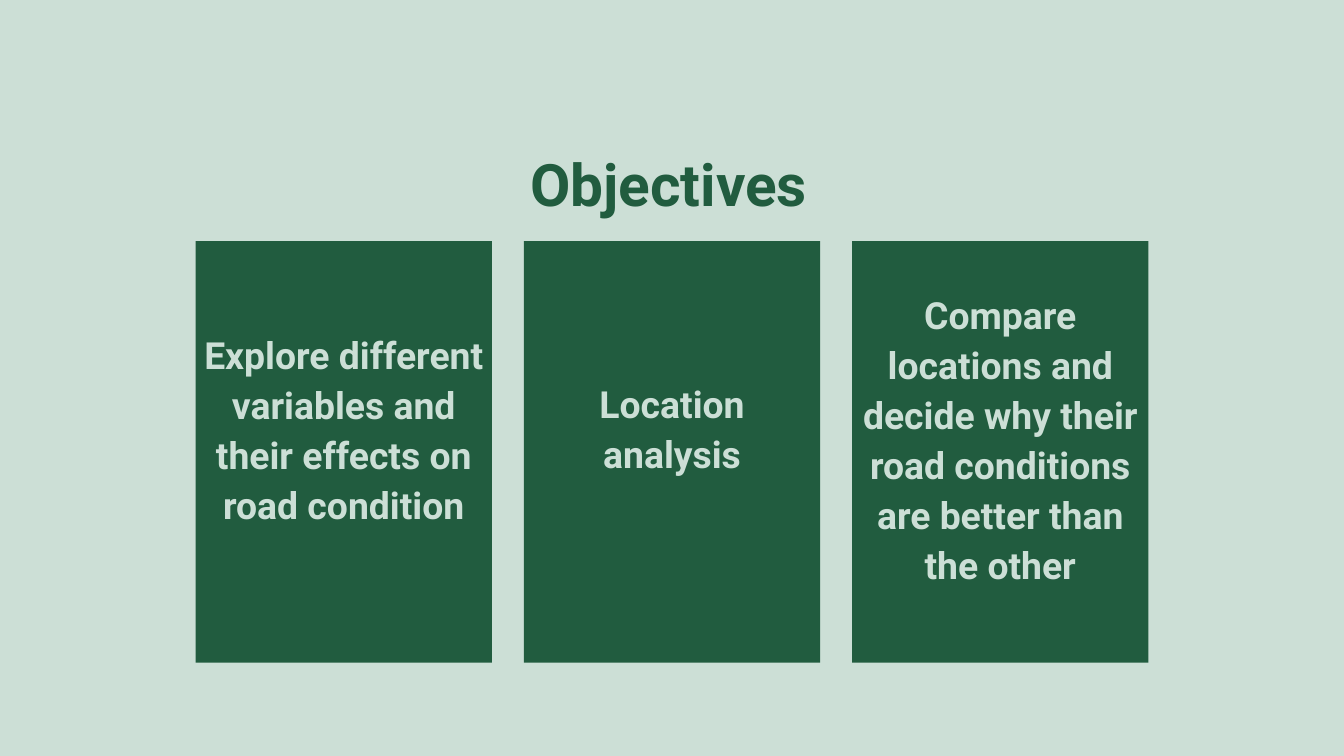
import pptx
import pptx.util
import pptx.dml.color
import pptx.enum.shapes
import pptx.enum.text

Inches, Pt = pptx.util.Inches, pptx.util.Pt
RGB = pptx.dml.color.RGBColor
ALIGN = pptx.enum.text.PP_ALIGN
COLORS = {"mint": "CCDFD6", "green": "215C3F"}
FRAME = {"margin_left": 0, "margin_top": 0, "margin_right": 0,
         "margin_bottom": 0, "word_wrap": True,
         "auto_size": pptx.enum.text.MSO_AUTO_SIZE.NONE,
         "vertical_anchor": pptx.enum.text.MSO_ANCHOR.TOP}


def set_text(sp, text, size, line, color, align):
    tf = sp.text_frame
    for name, value in FRAME.items():
        setattr(tf, name, value)
    p = tf.paragraphs[0]
    p.alignment, p.line_spacing = align, Pt(line)
    p.space_before = Pt(0)
    r = p.add_run()
    r.text = text
    font = {"name": "Roboto", "size": Pt(size), "bold": True}
    for name, value in font.items():
        setattr(r.font, name, value)
    r.font.color.rgb = RGB.from_string(COLORS[color])


prs = pptx.Presentation()
prs.slide_width, prs.slide_height = Inches(20), Inches(11.25)
s = prs.slides.add_slide(prs.slide_layouts[5])

# Background
s.background.fill.solid()
s.background.fill.fore_color.rgb = RGB.from_string(COLORS["mint"])

# Title
sp = s.shapes.title
sp.left, sp.top = Inches(7.89), Inches(2.03)
sp.width, sp.height = Inches(4.22), Inches(1.22)
set_text(sp, "Objectives", 62.7, 87.8, "green", ALIGN.LEFT)

# Objective cards: text, top and height of the text
cards = [
    ("Explore different variables and their effects on road condition", 4.86, 2.94),
    ("Location analysis", 5.6, 1.46),
    ("Compare locations and decide why their road conditions are better than the other",
     4.27, 4.42),
]
left, pitch, width, inset = 2.91, 4.885, 4.41, 0.095
for i, (text, top, height) in enumerate(cards):
    x = left + i * pitch
    sp = s.shapes.add_shape(pptx.enum.shapes.MSO_SHAPE.RECTANGLE,
                            Inches(x), Inches(3.59), Inches(width), Inches(6.27))
    sp.shadow.inherit = False
    sp.fill.solid()
    sp.fill.fore_color.rgb = RGB.from_string(COLORS["green"])
    sp.line.fill.background()
    sp = s.shapes.add_textbox(Inches(x + inset), Inches(top),
                              Inches(width - 2 * inset), Inches(height))
    set_text(sp, text, 40, 53.6, "mint", ALIGN.CENTER)

prs.save("out.pptx")
